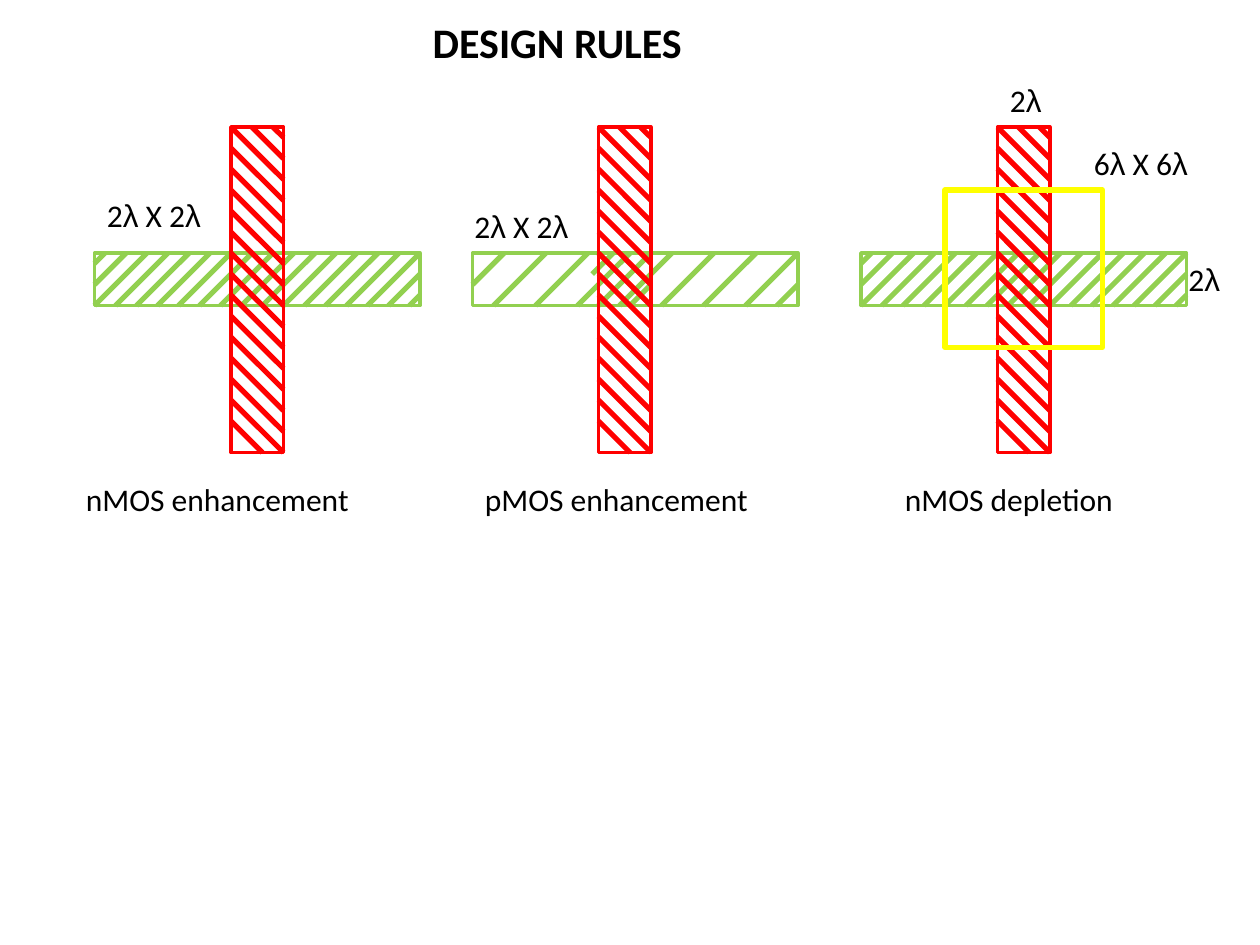
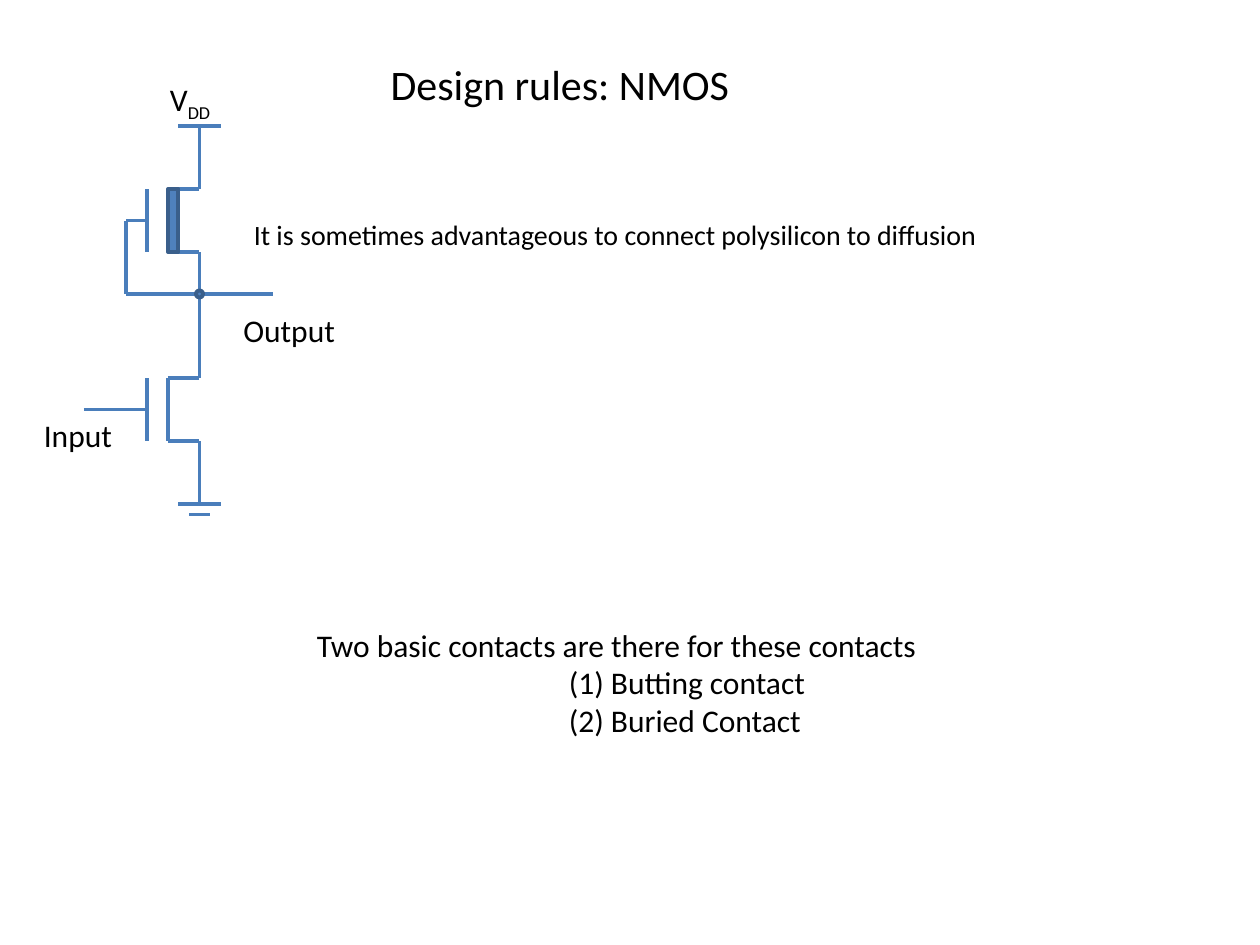
from dataclasses import dataclass
from itertools import groupby

from lxml import etree
from pptx import Presentation
from pptx.dml.color import RGBColor
from pptx.enum import shapes, text
from pptx.oxml import ns
from pptx.util import Pt


@dataclass(frozen=True)
class Theme:
    ink: RGBColor = RGBColor(0x00, 0x00, 0x00)
    diffusion: RGBColor = RGBColor(0x92, 0xD0, 0x50)
    polysilicon: RGBColor = RGBColor(0xFF, 0x00, 0x00)
    implant: RGBColor = RGBColor(0xFF, 0xFF, 0x00)
    wire: RGBColor = RGBColor(0x4A, 0x7E, 0xBB)
    component: RGBColor = RGBColor(0x4F, 0x81, 0xBD)
    component_edge: RGBColor = RGBColor(0x3A, 0x5F, 0x8B)
    font: str = "Calibri"
    greek_font: str = "Arial"
    title: int = 24
    label: int = 18
    note: int = 16
    outline: float = 2
    hatch: float = 3
    circuit: float = 2.25


THEME = Theme()

# Boxes are left, top, width, height in points.
LAYOUT_TITLE = ("DESIGN RULES", (240, 6, 240, 36))
LAYOUT_LABELS = [
    ("2λ X 2λ", (54, 108.6, 120, 29)),
    ("2λ X 2λ", (264, 115, 120, 29)),
    ("6λ X 6λ", (618, 79, 91, 29)),
    ("nMOS enhancement", (42, 271, 216, 29)),
    ("pMOS enhancement", (270, 271, 198, 29)),
    ("nMOS depletion", (510, 271, 174, 29)),
    ("2λ", (570, 43, 36, 50)),
    ("2λ", (672, 145, 36, 50)),
]

BAR_LENGTH, BAR_WIDTH = 186, 30
GATE_TOP, DIFFUSION_TOP = 72.6, 144.6
DENSE = range(-24, 181, 12)
SPARSE = [*range(-12, 157, 24), 174]
GATE_STRIPES = range(-24, 169, 12)
# Diffusion left, gate left, diffusion stripes
DEVICES = [(54, 132, DENSE), (270, 342, SPARSE), (492, 570, DENSE)]
# Extra stripes where the pMOS gate crosses: offsets, left and right limits
CROSSING = ([50.4, 72, 90], 68.4, 102)
IMPLANT = (540, 108.6, 90, 90)

CIRCUIT_TITLE = ("Design rules: NMOS", (216, 30, 334, 36))
CIRCUIT_NOTE = ("It is sometimes advantageous to connect polysilicon to diffusion",
                (138, 121, 546, 48))
CIRCUIT_LABELS = [
    ("V_DD", (90, 42, 54, 32)),
    ("Input", (18, 234, 78, 29)),
    ("Output", (132, 174, 78, 29)),
]
CONTACTS_BOX = (174, 354, 462, 94)
CONTACTS_LEAD = "Two basic contacts are there for these contacts"
CONTACTS = ["(1) Butting contact", "(2) Buried Contact"]
CONTACTS_INDENT = 144

GATE_X, CHANNEL_X, RAIL_X = 84, 96, 114
CHANNEL = 36
LOAD_TOP, OUTPUT_Y, DRIVER_TOP = 108, 168, 216
SUPPLY_Y, GROUND_Y = 72, 288
FEEDBACK_X, OUTPUT_X, INPUT_X = 72, 156, 48


def add_runs(paragraph, content, size, bold=False):
    """Greek letters get their own font; text after an underscore is lowered."""
    base, _, subscript = content.partition("_")
    pieces = [("".join(letters), greek, None)
              for greek, letters in groupby(base, key=lambda letter: letter == "λ")]
    if subscript:
        pieces.append((subscript, False, "-25000"))
    for piece, greek, baseline in pieces:
        run = paragraph.add_run()
        run.text = piece
        run.font.name = THEME.greek_font if greek else THEME.font
        run.font.size = Pt(size)
        run.font.bold = bold
        run.font.color.rgb = THEME.ink
        if baseline:
            run.font._element.set("baseline", baseline)


def place(shape, box):
    shape.left, shape.top, shape.width, shape.height = map(Pt, box)


def add_title(slide, content, box, bold=False):
    title = slide.shapes.title
    place(title, box)
    frame = title.text_frame
    frame.auto_size = text.MSO_AUTO_SIZE.SHAPE_TO_FIT_TEXT
    frame.vertical_anchor = text.MSO_ANCHOR.TOP
    frame.paragraphs[0].alignment = text.PP_ALIGN.LEFT
    add_runs(frame.paragraphs[0], content, THEME.title, bold)


def add_label(slide, content, box, size=THEME.label):
    frame = slide.shapes.add_textbox(*map(Pt, box)).text_frame
    frame.word_wrap = True
    frame.auto_size = text.MSO_AUTO_SIZE.SHAPE_TO_FIT_TEXT
    add_runs(frame.paragraphs[0], content, size)
    return frame


def add_line(parent, start, end, color, width):
    line = parent.shapes.add_connector(
        shapes.MSO_CONNECTOR.STRAIGHT, *map(Pt, (*start, *end)))
    line.line.color.rgb = color
    line.line.width = Pt(width)
    etree.SubElement(line._element.spPr, ns.qn("a:effectLst"))


def add_outlined(parent, kind, box, edge, width, fill=None):
    shape = parent.shapes.add_shape(kind, *map(Pt, box))
    shape.shadow.inherit = False
    shape.line.color.rgb = edge
    shape.line.width = Pt(width)
    if fill is None:
        shape.fill.background()
    else:
        shape.fill.solid()
        shape.fill.fore_color.rgb = fill


def hatch_diffusion(slide, left, offsets, low=0, high=BAR_LENGTH):
    """Rising 45-degree stripes, cut at low and high along the bar."""
    for offset in offsets:
        start, end = max(offset, low), min(offset + BAR_WIDTH, high)
        bottom = DIFFUSION_TOP + BAR_WIDTH + offset
        add_line(slide, (left + start, bottom - start), (left + end, bottom - end),
                 THEME.diffusion, THEME.hatch)


def add_diffusion(slide, left, offsets):
    add_outlined(slide, shapes.MSO_SHAPE.RECTANGLE,
                 (left, DIFFUSION_TOP, BAR_LENGTH, BAR_WIDTH),
                 THEME.diffusion, THEME.outline)
    hatch_diffusion(slide, left, offsets)


def add_gate(slide, left):
    gate = slide.shapes.add_group_shape()
    add_outlined(gate, shapes.MSO_SHAPE.RECTANGLE,
                 (left, GATE_TOP, BAR_WIDTH, BAR_LENGTH),
                 THEME.polysilicon, THEME.outline)
    for offset in GATE_STRIPES:
        start, end = max(offset, 0), min(offset + BAR_WIDTH, BAR_LENGTH)
        add_line(gate, (left + start - offset, GATE_TOP + start),
                 (left + end - offset, GATE_TOP + end), THEME.polysilicon, THEME.hatch)


def build_layout_slide(slide):
    add_title(slide, *LAYOUT_TITLE, bold=True)
    for diffusion_left, gate_left, offsets in DEVICES:
        add_diffusion(slide, diffusion_left, offsets)
        if offsets is SPARSE:
            hatch_diffusion(slide, diffusion_left, *CROSSING)
        add_gate(slide, gate_left)
    add_outlined(slide, shapes.MSO_SHAPE.RECTANGLE, IMPLANT, THEME.implant, THEME.hatch)
    for content, box in LAYOUT_LABELS:
        add_label(slide, content, box)


def transistor_wires(top):
    """Gate plate, drain and source arms."""
    bottom = top + CHANNEL
    return [((GATE_X, top), (GATE_X, bottom)),
            ((CHANNEL_X, top), (RAIL_X, top)),
            ((CHANNEL_X, bottom), (RAIL_X, bottom))]


def level_wire(y, half):
    return (RAIL_X - half, y), (RAIL_X + half, y)


def build_circuit_slide(slide):
    add_title(slide, *CIRCUIT_TITLE)
    add_label(slide, *CIRCUIT_NOTE, size=THEME.note)
    load_middle, driver_middle = LOAD_TOP + CHANNEL / 2, DRIVER_TOP + CHANNEL / 2
    rails = [(SUPPLY_Y, LOAD_TOP), (LOAD_TOP + CHANNEL, OUTPUT_Y),
             (OUTPUT_Y, DRIVER_TOP), (DRIVER_TOP + CHANNEL, GROUND_Y)]
    wires = [
        *transistor_wires(LOAD_TOP),
        *transistor_wires(DRIVER_TOP),
        ((CHANNEL_X, DRIVER_TOP), (CHANNEL_X, DRIVER_TOP + CHANNEL)),
        *(((RAIL_X, top), (RAIL_X, bottom)) for top, bottom in rails),
        ((FEEDBACK_X, load_middle), (GATE_X, load_middle)),
        ((FEEDBACK_X, load_middle), (FEEDBACK_X, OUTPUT_Y)),
        ((FEEDBACK_X, OUTPUT_Y), (OUTPUT_X, OUTPUT_Y)),
        ((INPUT_X, driver_middle), (GATE_X, driver_middle)),
        level_wire(SUPPLY_Y, 12),
        level_wire(GROUND_Y, 12),
        level_wire(GROUND_Y + 6, 6),
    ]
    for start, end in wires:
        add_line(slide, start, end, THEME.wire, THEME.circuit)

    node = (RAIL_X - 2, OUTPUT_Y - 2, 4, 4)
    depletion_channel = (CHANNEL_X, LOAD_TOP, 6, CHANNEL)
    for kind, box in [(shapes.MSO_SHAPE.OVAL, node),
                      (shapes.MSO_SHAPE.RECTANGLE, depletion_channel)]:
        add_outlined(slide, kind, box, THEME.component_edge, THEME.circuit,
                     THEME.component)

    for content, box in CIRCUIT_LABELS:
        add_label(slide, content, box)
    frame = add_label(slide, CONTACTS_LEAD, CONTACTS_BOX)
    for contact in CONTACTS:
        paragraph = frame.add_paragraph()
        paragraph._p.get_or_add_pPr().set("marL", str(Pt(CONTACTS_INDENT)))
        add_runs(paragraph, contact, THEME.label)


def main():
    presentation = Presentation()
    presentation.slide_width, presentation.slide_height = Pt(720), Pt(540)
    title_only = presentation.slide_layouts[5]
    for build in (build_layout_slide, build_circuit_slide):
        build(presentation.slides.add_slide(title_only))
    presentation.save("out.pptx")


if __name__ == "__main__":
    main()
